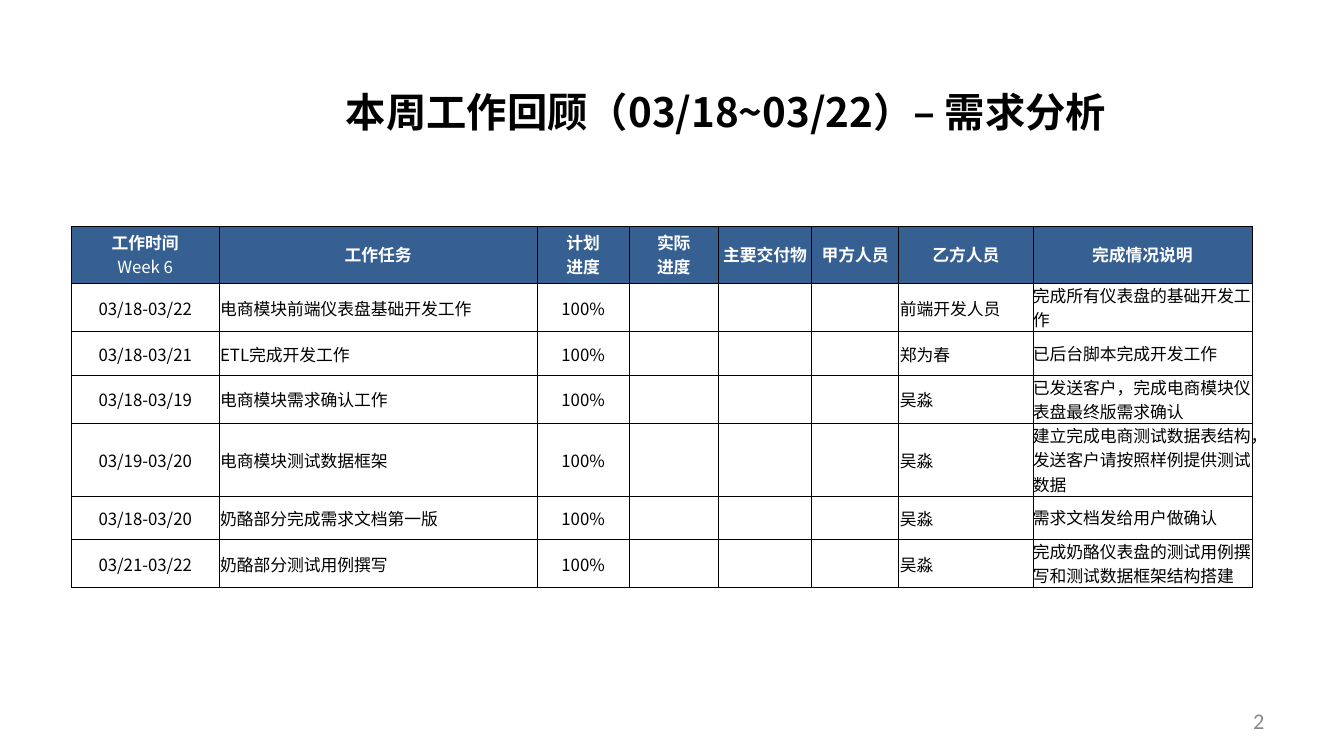
"""Build the weekly work review slide with its task table."""
from lxml import etree
from pptx import Presentation
from pptx.dml.color import RGBColor
from pptx.enum.text import MSO_ANCHOR, PP_ALIGN
from pptx.oxml.ns import qn
from pptx.util import Inches, Pt

LEFT, CENTER, RIGHT = PP_ALIGN.LEFT, PP_ALIGN.CENTER, PP_ALIGN.RIGHT
MIDDLE = MSO_ANCHOR.MIDDLE

TITLE = "本周工作回顾（03/18~03/22）– 需求分析"
PAGE = "2"
HEADERS = ["工作时间\nWeek 6", "工作任务", "计划\n进度", "实际\n进度",
           "主要交付物", "甲方人员", "乙方人员", "完成情况说明"]
TASKS = [
    ("03/18-03/22", "电商模块前端仪表盘基础开发工作", "前端开发人员", "完成所有仪表盘的基础开发工作"),
    ("03/18-03/21", "ETL完成开发工作", "郑为春", "已后台脚本完成开发工作"),
    ("03/18-03/19", "电商模块需求确认工作", "吴淼", "已发送客户，完成电商模块仪表盘最终版需求确认"),
    ("03/19-03/20", "电商模块测试数据框架", "吴淼", "建立完成电商测试数据表结构，发送客户请按照样例提供测试数据"),
    ("03/18-03/20", "奶酪部分完成需求文档第一版", "吴淼", "需求文档发给用户做确认"),
    ("03/21-03/22", "奶酪部分测试用例撰写", "吴淼", "完成奶酪仪表盘的测试用例撰写和测试数据框架结构搭建"),
]
PROGRESS = "100%"
COLS = [1.22, 2.63, 0.76, 0.74, 0.77, 0.72, 1.11, 1.81]
ROWS = [0.47, 0.4, 0.36, 0.4, 0.6, 0.36, 0.4]
CENTERED_COLS = (0, 2)
COLORS = {"header": "376092", "white": "FFFFFF", "black": "000000", "page": "898989"}
FONT, PAGE_FONT = "Noto Sans CJK SC", "Calibri"


def write(tf, text, size=10, color="black", bold=False, align=LEFT, font=FONT, light=()):
    """Fill a text frame, one paragraph per line; lines in light are never bold."""
    tf.word_wrap = True
    for i, line in enumerate(text.split("\n")):
        p = tf.add_paragraph() if i else tf.paragraphs[0]
        p.alignment = align
        if not line:
            p._p.get_or_add_endParaRPr().set("sz", str(size * 100))
            continue
        r = p.add_run()
        r.text = line
        r.font.size, r.font.name = Pt(size), font
        r.font.bold = bold and line not in light
        r.font.color.rgb = RGBColor.from_string(COLORS[color])
        etree.SubElement(r.font._element, qn("a:ea"), typeface=font)


def add_text(s, text, box, insets=(0.1, 0.05, 0.1, 0.05), **fmt):
    """Add a vertically centred text box."""
    tf = s.shapes.add_textbox(*map(Inches, box)).text_frame
    tf.vertical_anchor = MIDDLE
    tf.margin_left, tf.margin_top, tf.margin_right, tf.margin_bottom = map(Inches, insets)
    write(tf, text, **fmt)


def style_cell(cell, fill, inset):
    """Set the borders, fill, margins and anchor of a cell."""
    tc_pr = cell._tc.get_or_add_tcPr()
    for side in ("lnL", "lnR", "lnT", "lnB"):
        ln = etree.SubElement(tc_pr, qn(f"a:{side}"), w=str(Pt(0.5)))
        solid = etree.SubElement(ln, qn("a:solidFill"))
        etree.SubElement(solid, qn("a:srgbClr"), val=COLORS["black"])
    cell.fill.solid()
    cell.fill.fore_color.rgb = RGBColor.from_string(COLORS[fill])
    cell.margin_left = cell.margin_top = cell.margin_right = Inches(inset)
    cell.margin_bottom = 0
    cell.vertical_anchor = MIDDLE


def add_task_table(s):
    """Add the header row and one row per task."""
    rows = [HEADERS] + [(date, task, PROGRESS, "", "", "", staff, note)
                        for date, task, staff, note in TASKS]
    frame = s.shapes.add_table(len(ROWS), len(COLS), Inches(0.59), Inches(1.87),
                               Inches(sum(COLS)), Inches(sum(ROWS)))
    table = frame.table
    table.first_row = table.horz_banding = False
    for col, width in zip(table.columns, COLS):
        col.width = Inches(width)
    for r, (row, height) in enumerate(zip(rows, ROWS)):
        table.rows[r].height = Inches(height)
        header = r == 0
        for c, text in enumerate(row):
            cell = table.cell(r, c)
            last = c == len(COLS) - 1
            style_cell(cell, "header" if header else "white", 0 if header or last else 0.01)
            write(cell.text_frame, text, color="white" if header else "black", bold=header,
                  align=CENTER if header or c in CENTERED_COLS else LEFT, light=("Week 6",))


def main():
    """Build and save the slide."""
    prs = Presentation()
    prs.slide_width, prs.slide_height = Inches(11.11), Inches(6.25)
    s = prs.slides.add_slide(prs.slide_layouts[6])
    add_text(s, PAGE, (7.96, 5.79, 2.59, 0.33), size=13.3, color="page",
             align=RIGHT, font=PAGE_FONT)
    add_text(s, TITLE, (2.61, 0.53, 7.75, 0.75), insets=(0.25, 0.03, 0, 0), size=24, bold=True)
    add_task_table(s)
    prs.save("out.pptx")


if __name__ == "__main__":
    main()
